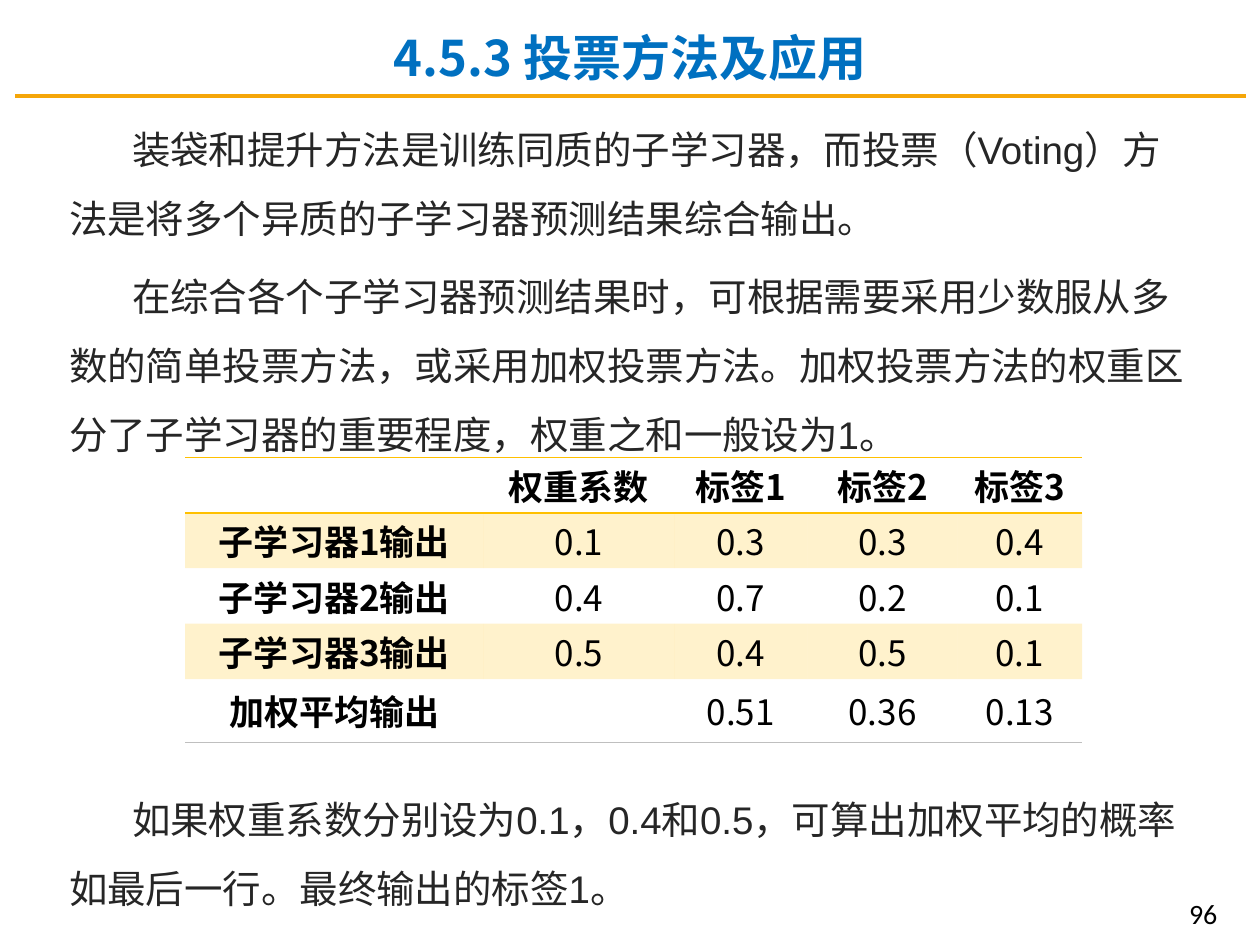
from dataclasses import dataclass
from typing import Optional

from lxml import etree
from pptx import Presentation
from pptx.dml.color import RGBColor
from pptx.enum import shapes, text
from pptx.oxml import ns
from pptx.util import Inches, Pt


@dataclass(frozen=True)
class Theme:
    heading: str = "0070C0"
    rule: str = "F5A609"
    body: str = "262626"
    ink: str = "000000"
    gold: str = "FFC000"
    base: str = "BFBFBF"
    cjk: str = "Noto Sans CJK SC"
    latin: str = "Arial"
    number: str = "Calibri"
    title_size: float = 28
    body_size: float = 22
    table_size: float = 20
    number_size: float = 16
    body_leading: float = 39.4
    body_gap: float = 5


@dataclass(frozen=True)
class Passage:
    top: float
    height: float
    paragraphs: tuple[str, ...]


@dataclass(frozen=True)
class Row:
    label: str
    values: tuple[str, ...]
    height: float = 0.44
    header: bool = False
    shaded: bool = False


THEME = Theme()
NO_STYLE = "{2D5ABB26-0587-4C30-8999-92F81FD0307C}"
COLUMNS = (2.37, 1.51, 1.06, 1.19, 0.99)
PASSAGES = (
    Passage(0.77, 2.85, (
        "装袋和提升方法是训练同质的子学习器，而投票（Voting）方法是将多个异质的子学习器预测结果综合输出。",
        "在综合各个子学习器预测结果时，可根据需要采用少数服从多数的简单投票方法，或采用加权投票方法。"
        "加权投票方法的权重区分了子学习器的重要程度，权重之和一般设为1。",
    )),
    Passage(6.09, 1.2, (
        "如果权重系数分别设为0.1，0.4和0.5，可算出加权平均的概率如最后一行。最终输出的标签1。",
    )),
)
ROWS = (
    Row("", ("权重系数", "标签1", "标签2", "标签3"), header=True),
    Row("子学习器1输出", ("0.1", "0.3", "0.3", "0.4"), shaded=True),
    Row("子学习器2输出", ("0.4", "0.7", "0.2", "0.1")),
    Row("子学习器3输出", ("0.5", "0.4", "0.5", "0.1"), shaded=True),
    Row("加权平均输出", ("", "0.51", "0.36", "0.13"), height=0.5),
)


def write(paragraph, content: str, *, size: float, color: str, font: str,
          bold: bool = False, align=text.PP_ALIGN.LEFT,
          indent: float = 0, leading: Optional[float] = None,
          before: float = 0) -> None:
    paragraph.alignment = align
    paragraph.space_before = Pt(before)
    if leading:
        paragraph.line_spacing = Pt(leading)
    if indent:
        properties = paragraph._p.get_or_add_pPr()
        properties.set("marL", "0")
        properties.set("indent", str(Inches(indent)))
    run = paragraph.add_run()
    run.text = content
    run.font.size = Pt(size)
    run.font.bold = bold
    run.font.color.rgb = RGBColor.from_string(color)
    run.font.name = font
    east_asian = etree.SubElement(run._r.get_or_add_rPr(), ns.qn("a:ea"))
    east_asian.set("typeface", THEME.cjk)


def draw_title(slide, heading: str) -> None:
    title = slide.shapes.title
    title.left, title.top = Inches(0), Inches(0.17)
    title.width, title.height = Inches(10), Inches(0.57)
    frame = title.text_frame
    frame.margin_top = frame.margin_bottom = 0
    frame.vertical_anchor = text.MSO_ANCHOR.MIDDLE
    frame.auto_size = text.MSO_AUTO_SIZE.NONE
    write(frame.paragraphs[0], heading, size=THEME.title_size, color=THEME.heading,
          font=THEME.cjk, bold=True, align=text.PP_ALIGN.CENTER)


def draw_rule(slide) -> None:
    rule = slide.shapes.add_connector(
        shapes.MSO_CONNECTOR.STRAIGHT,
        Inches(0.12), Inches(0.76), Inches(9.89), Inches(0.76))
    rule.line.color.rgb = RGBColor.from_string(THEME.rule)
    rule.line.width = Pt(2)
    etree.SubElement(rule._element.spPr, ns.qn("a:effectLst"))


def add_frame(slide, left: float, top: float, width: float, height: float):
    frame = slide.shapes.add_textbox(
        Inches(left), Inches(top), Inches(width), Inches(height)).text_frame
    frame.word_wrap = True
    return frame


def draw_passage(slide, passage: Passage) -> None:
    frame = add_frame(slide, 0.45, passage.top, 9.11, passage.height)
    for index, content in enumerate(passage.paragraphs):
        paragraph = frame.add_paragraph() if index else frame.paragraphs[0]
        write(paragraph, content, size=THEME.body_size, color=THEME.body,
              font=THEME.latin, indent=0.5, leading=THEME.body_leading,
              before=THEME.body_gap if index else 0)


def add_border(cell, side: str, color: str, width: float) -> None:
    border = etree.SubElement(cell._tc.get_or_add_tcPr(), ns.qn(f"a:{side}"))
    border.set("w", str(Pt(width)))
    fill = etree.SubElement(border, ns.qn("a:solidFill"))
    etree.SubElement(fill, ns.qn("a:srgbClr")).set("val", color)


def shade(cell) -> None:
    cell.fill.solid()
    cell.fill.fore_color.rgb = RGBColor.from_string(THEME.gold)
    tint = cell._tc.tcPr.find(ns.qn("a:solidFill")).find(ns.qn("a:srgbClr"))
    etree.SubElement(tint, ns.qn("a:alpha")).set("val", "20000")


def draw_cell(cell, content: str, row: Row, bold: bool) -> None:
    cell.margin_left = cell.margin_right = Inches(0.07)
    cell.margin_top = cell.margin_bottom = 0
    cell.vertical_anchor = text.MSO_ANCHOR.MIDDLE
    if row.header:
        add_border(cell, "lnT", THEME.gold, 1)
        add_border(cell, "lnB", THEME.gold, 1)
    elif row is ROWS[-1]:
        add_border(cell, "lnB", THEME.base, 0.5)
    if row.shaded:
        shade(cell)
    else:
        cell.fill.background()
    if content:
        write(cell.text_frame.paragraphs[0], content, size=THEME.table_size,
              color=THEME.ink, font=THEME.cjk, bold=bold,
              align=text.PP_ALIGN.CENTER)


def draw_table(slide) -> None:
    table = slide.shapes.add_table(
        len(ROWS), len(COLUMNS), Inches(1.47), Inches(3.63),
        Inches(sum(COLUMNS)), Inches(sum(row.height for row in ROWS))).table
    table.horz_banding = False
    table._tbl.tblPr.find(ns.qn("a:tableStyleId")).text = NO_STYLE
    for column, width in zip(table.columns, COLUMNS):
        column.width = Inches(width)
    for r, row in enumerate(ROWS):
        table.rows[r].height = Inches(row.height)
        for c, content in enumerate((row.label, *row.values)):
            draw_cell(table.cell(r, c), content, row, bold=row.header or c == 0)


def main() -> None:
    deck = Presentation()
    deck.slide_width, deck.slide_height = Inches(10), Inches(7.5)
    slide = deck.slides.add_slide(deck.slide_layouts[5])
    draw_rule(slide)
    draw_title(slide, "4.5.3 投票方法及应用")
    for passage in PASSAGES:
        draw_passage(slide, passage)
    draw_table(slide)
    page = add_frame(slide, 7.43, 7.07, 2.33, 0.3)
    write(page.paragraphs[0], "96", size=THEME.number_size, color=THEME.ink,
          font=THEME.number, align=text.PP_ALIGN.RIGHT)
    deck.save("out.pptx")


if __name__ == "__main__":
    main()
